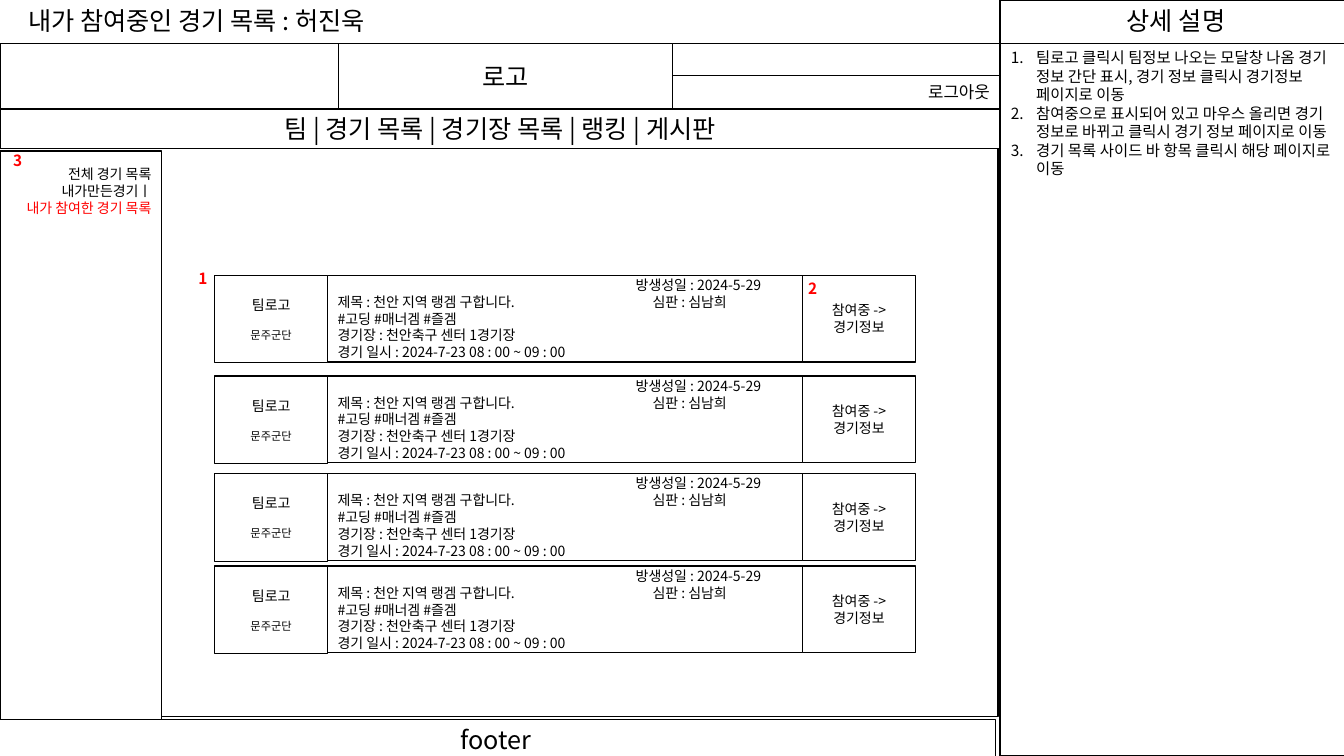
import dataclasses
import typing

import pptx
import pptx.dml.color
import pptx.enum.shapes
import pptx.enum.text
import pptx.oxml
import pptx.oxml.ns
import pptx.util

Pt = pptx.util.Pt
Align = pptx.enum.text.PP_ALIGN
Anchor = pptx.enum.text.MSO_ANCHOR

FONT = "Noto Sans CJK KR"
INK = {"white": "FFFFFF", "black": "000000", "red": "FF0000"}
NS = pptx.oxml.ns.nsdecls("a")


@dataclasses.dataclass
class Line:
    text: str
    size: float = 18
    color: str = "black"
    align: typing.Any = Align.CENTER
    bold: bool = False
    before: float = 0
    tab: float = 0
    number: bool = False


@dataclasses.dataclass
class Box:
    left: float
    top: float
    width: float
    height: float
    lines: tuple[Line, ...] = ()
    anchor: typing.Any = Anchor.MIDDLE
    inset: float = 3.6


def tint(name: str) -> pptx.dml.color.RGBColor:
    return pptx.dml.color.RGBColor.from_string(INK[name])


def write(para: typing.Any, text: str, *, size: float, color: str, align: typing.Any,
          bold: bool, before: float, tab: float, number: bool) -> None:
    para.alignment = align
    para.space_before = Pt(before)
    props = para._p.get_or_add_pPr()
    if number:
        props.set("marL", str(Pt(18)))
        props.set("indent", str(-Pt(18)))
        props.append(pptx.oxml.parse_xml(f'<a:buAutoNum {NS} type="arabicPeriod"/>'))
    if tab:
        props.append(pptx.oxml.parse_xml(
            f'<a:tabLst {NS}><a:tab pos="{Pt(tab)}" algn="l"/></a:tabLst>'))
    run = para.add_run()
    run.text = text
    run.font.size = Pt(size)
    run.font.bold = bold
    run.font.color.rgb = tint(color)
    run.font.name = FONT
    run._r.get_or_add_rPr().append(
        pptx.oxml.parse_xml(f'<a:ea {NS} typeface="{FONT}"/>'))


def fill(shape: typing.Any, box: Box, wrap: bool = True) -> None:
    frame = shape.text_frame
    frame.word_wrap = wrap
    frame.vertical_anchor = box.anchor
    frame.margin_top = Pt(box.inset)
    for index, line in enumerate(box.lines):
        para = frame.add_paragraph() if index else frame.paragraphs[0]
        write(para, **dataclasses.asdict(line))


def frame_box(slide: typing.Any, box: Box) -> None:
    shape = slide.shapes.add_shape(
        pptx.enum.shapes.MSO_SHAPE.RECTANGLE,
        Pt(box.left), Pt(box.top), Pt(box.width), Pt(box.height))
    shape.shadow.inherit = False
    shape.fill.solid()
    shape.fill.fore_color.rgb = tint("white")
    shape.line.color.rgb = tint("black")
    shape.line.width = Pt(1)
    fill(shape, box)


def label(slide: typing.Any, box: Box, wrap: bool = True) -> None:
    shape = slide.shapes.add_textbox(
        Pt(box.left), Pt(box.top), Pt(box.width), Pt(box.height))
    fill(shape, box, wrap)


def card(slide: typing.Any, top: float) -> None:
    left = Align.LEFT
    frame_box(slide, Box(234, top, 339.1, 61.9, (
        Line("\t방생성일 : 2024-5-29", 10, align=left, tab=213),
        Line("제목 : 천안 지역 랭겜 구합니다.\t심판 : 심남희", 10, align=left, tab=225),
        Line("#고딩 #매너겜 #즐겜", 10, align=left),
        Line("경기장 : 천안축구 센터 1경기장", 10, align=left),
        Line("경기 일시 : 2024-7-23 08 : 00 ~ 09 : 00", 10, align=left))))
    frame_box(slide, Box(573.1, top, 80.9, 61.9, (Line("참여중 -> 경기정보", 10),)))
    frame_box(slide, Box(153.4, top, 80.6, 62.6, (
        Line("팀로고", 10), Line("문주군단", 8, before=10.7))))


def badge(slide: typing.Any, left: float, top: float, text: str) -> None:
    mark = Line(text, 11, "red", Align.LEFT, bold=True)
    label(slide, Box(left, top, 27.4, 20.9, (mark,), Anchor.TOP))


NOTES = (
    "팀로고 클릭시 팀정보 나오는 모달창 나옴 경기 정보 간단 표시, 경기 정보 클릭시 경기정보 페이지로 이동",
    "참여중으로 표시되어 있고 마우스 올리면 경기 정보로 바뀌고 클릭시 경기 정보 페이지로 이동",
    "경기 목록 사이드 바 항목 클릭시 해당 페이지로 이동",
)
PANELS = (
    Box(714.2, 31, 246.2, 509),  # notes panel
    Box(714.2, 0, 246.2, 31),  # notes heading
    Box(-1.4, 105.8, 714.2, 406.1),  # main area
    Box(0, 31, 714.2, 74.9),  # header
    Box(241.9, 31, 238.3, 46.8, (Line("로고"),)),
    Box(0, 77.8, 714.2, 28.1, (Line("팀 | 경기 목록 | 경기장 목록 | 랭킹 | 게시판"),)),
    Box(480.2, 54, 234, 23.8, (Line("로그아웃", 12, align=Align.RIGHT),)),
    Box(-2.9, 514.1, 714.2, 28.1, (Line("footer"),)),
    Box(0, 108, 115.2, 406.1, (  # sidebar
        Line("전체 경기 목록", 10, align=Align.RIGHT),
        Line("내가만든경기ㅣ", 10, align=Align.RIGHT),
        Line("내가 참여한 경기 목록", 10, "red", Align.RIGHT)), Anchor.TOP, 10.4),
)
ROWS = (196.6, 268.6, 338.4, 404.4)
BADGES = ((134.6, 188.6, "1"), (570.2, 195.8, "2"), (2.2, 104.4, "3"))


def main() -> None:
    deck = pptx.Presentation()
    deck.slide_width, deck.slide_height = Pt(960), Pt(540)
    slide = deck.slides.add_slide(deck.slide_layouts[6])

    # Page frame
    for panel in PANELS:
        frame_box(slide, panel)

    # Headings and notes
    label(slide, Box(13, 0, 334.8, 28.8, (
        Line("내가 참여중인 경기 목록 : 허진욱", align=Align.LEFT),), Anchor.TOP))
    label(slide, Box(797.8, 0, 93.6, 28.8, (
        Line("상세 설명", align=Align.LEFT),), Anchor.TOP), wrap=False)
    notes = tuple(Line(note, 11, align=Align.LEFT, number=True) for note in NOTES)
    label(slide, Box(715, 31, 243.4, 140.4, notes, Anchor.TOP))

    # Match cards
    for top in ROWS:
        card(slide, top)

    # Numbered marks
    for left, top, text in BADGES:
        badge(slide, left, top, text)

    deck.save("out.pptx")


if __name__ == "__main__":
    main()
